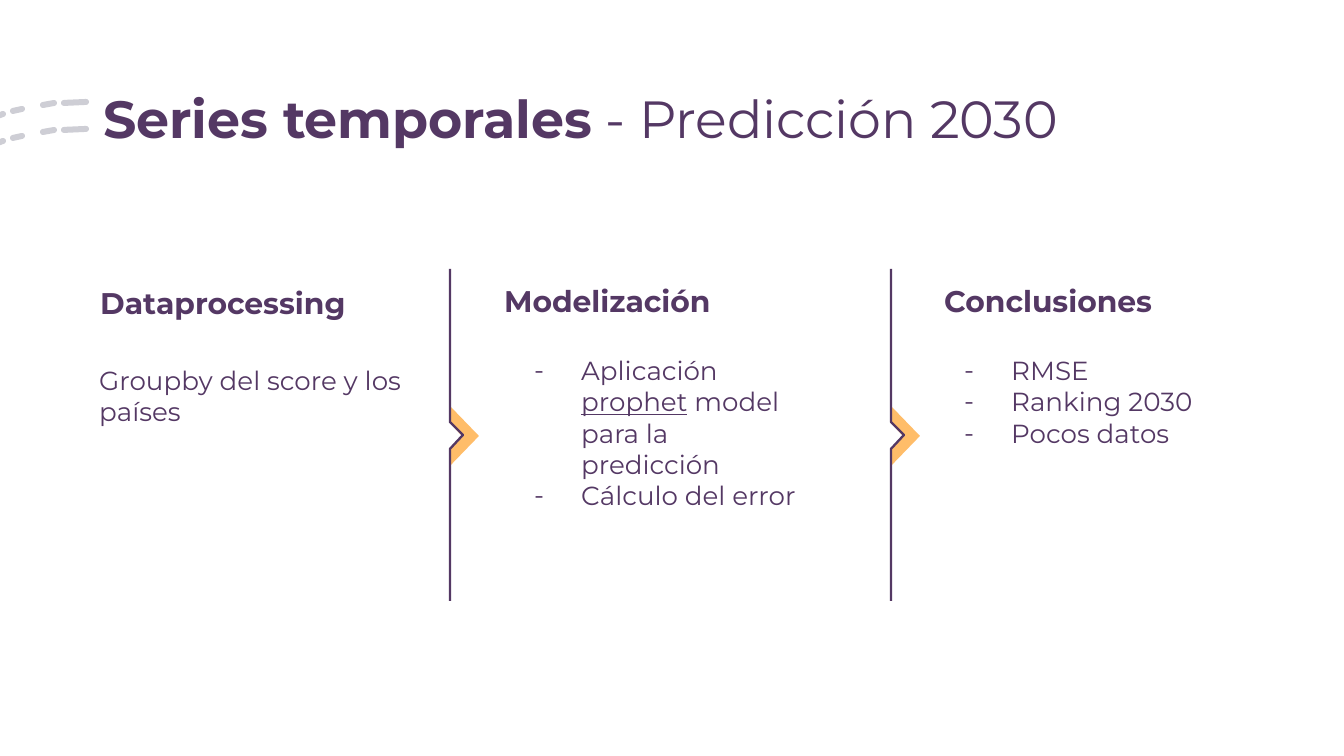
import math

from lxml import etree
from pptx import Presentation
from pptx.dml.color import RGBColor
from pptx.enum.text import MSO_ANCHOR, MSO_AUTO_SIZE, PP_ALIGN
from pptx.oxml.ns import qn
from pptx.util import Pt

TOP, LEFT, NO_FIT = MSO_ANCHOR.TOP, PP_ALIGN.LEFT, MSO_AUTO_SIZE.NONE
SCALE = 914400 / 134.4
FONT, PURPLE, ORANGE, NAVY = "Montserrat", "543864", "FFBD69", "202040"

TITLE = [("Series temporales", "b"), (" - Predicción 2030", "")]
HEADINGS = [
    ("Dataprocessing", (87, 271, 351, 63)),
    ("Modelización", (491, 269, 317, 44)),
    ("Conclusiones", (931, 269, 317, 44)),
]
BODIES = [
    ([[("Groupby del score y los países", "")]], (86, 351, 329, 218), False),
    ([[("Aplicación ", ""), ("prophet", "u"), (" model para la predicción", "")],
      [("Cálculo del error", "")]], (501, 341, 317, 218), True),
    ([[("RMSE", "")], [("Ranking 2030", "")], [("Pocos datos", "")]],
     (931, 341, 317, 218), True),
]
DASHES = [((-8, 118), (3, 114)), ((13, 111), (22, 109)),
          ((43, 105), (54, 103)), ((64, 103), (86, 102))]
DASH_ROWS = (0, 27)
DASH_RADIUS = 3
DIVIDERS = (450, 891)
DIVIDER_LINE = [(0, 269), (0, 422), (13, 435), (0, 449), (0, 601)]
ARROW = [(0, 406), (29, 436), (0, 466), (0, 449), (12, 436), (0, 423)]


def px(length):
    return round(length * SCALE)


def color(value):
    return RGBColor.from_string(value)


def write(box, paragraphs, size=14, bullets=False, after=0):
    frame = box.text_frame
    frame.word_wrap, frame.auto_size, frame.vertical_anchor = True, NO_FIT, TOP
    frame.margin_left = frame.margin_right = px(13.44)
    frame.margin_top = frame.margin_bottom = px(13.44)
    for index, runs in enumerate(paragraphs):
        para = frame.paragraphs[0] if index == 0 else frame.add_paragraph()
        para.alignment, para.space_after = LEFT, Pt(after)
        if bullets:
            props = para._p.get_or_add_pPr()
            props.set("marL", str(px(67)))
            props.set("indent", str(px(-47)))
            tint = etree.SubElement(props, qn("a:buClr"))
            etree.SubElement(tint, qn("a:srgbClr"), val=PURPLE)
            etree.SubElement(props, qn("a:buFont"), typeface=FONT)
            etree.SubElement(props, qn("a:buChar"), char="-")
        for text, style in runs:
            span = para.add_run()
            span.text = text
            span.font.name, span.font.size = FONT, Pt(size)
            span.font.color.rgb = color(PURPLE)
            span.font.bold, span.font.underline = "b" in style, "u" in style


def add_outline(page, points, fill=None, line=None, alpha=None):
    corners = [(px(x), px(y)) for x, y in points]
    builder = page.shapes.build_freeform(*corners[0])
    builder.add_line_segments(corners[1:], close=fill is not None)
    shape = builder.convert_to_shape()
    shape.shadow.inherit = False
    if fill:
        shape.fill.solid()
        shape.fill.fore_color.rgb = color(fill)
    else:
        shape.fill.background()
    if line:
        shape.line.color.rgb, shape.line.width = color(line), Pt(1.25)
    else:
        shape.line.fill.background()
    if alpha:
        tint = shape._element.spPr.find(qn("a:solidFill"))[0]
        etree.SubElement(tint, qn("a:alpha"), val=str(alpha * 1000))


def capsule(start, end, radius):
    heading = math.atan2(end[1] - start[1], end[0] - start[0])
    points = []
    for (x, y), first in ((end, -90), (start, 90)):
        for step in range(0, 181, 30):
            angle = heading + math.radians(first + step)
            points.append((x + radius * math.cos(angle), y + radius * math.sin(angle)))
    return points


def main():
    """Build the time series slide."""
    deck = Presentation()
    deck.slide_width, deck.slide_height = px(1344), px(756)
    page = deck.slides.add_slide(deck.slide_layouts[5])

    for drop in DASH_ROWS:
        for start, end in DASHES:
            points = [(x, y + drop) for x, y in capsule(start, end, DASH_RADIUS)]
            add_outline(page, points, fill=NAVY, alpha=22)

    title = page.shapes.title
    title.left, title.top, title.width, title.height = map(px, (90, 73, 1177, 101))
    write(title, [TITLE], size=28)

    for heading, place in HEADINGS:
        write(page.shapes.add_textbox(*map(px, place)), [[(heading, "b")]],
              size=16, after=16)
    for paragraphs, place, bullets in BODIES:
        write(page.shapes.add_textbox(*map(px, place)), paragraphs, bullets=bullets)

    for left in DIVIDERS:
        add_outline(page, [(left + x, y) for x, y in ARROW], fill=ORANGE)
        add_outline(page, [(left + x, y) for x, y in DIVIDER_LINE], line=PURPLE)

    deck.save("out.pptx")


if __name__ == "__main__":
    main()
